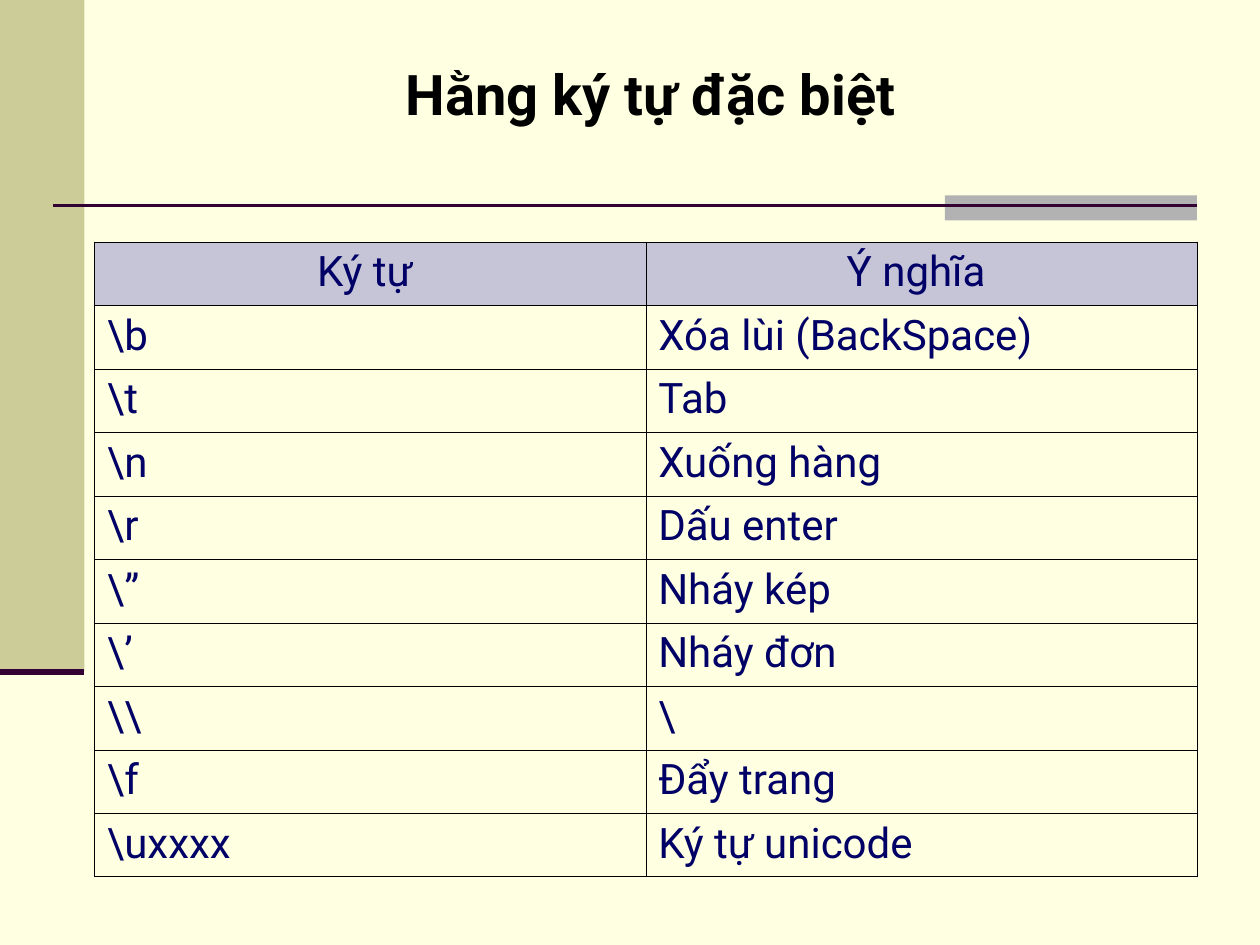
from lxml import etree
from pptx import Presentation
from pptx.dml.color import RGBColor
from pptx.enum.shapes import MSO_CONNECTOR, MSO_SHAPE
from pptx.enum.text import PP_ALIGN
from pptx.oxml.ns import qn
from pptx.util import Inches, Pt

RECT, STRAIGHT = MSO_SHAPE.RECTANGLE, MSO_CONNECTOR.STRAIGHT
LEFT, CENTER = PP_ALIGN.LEFT, PP_ALIGN.CENTER
FONT = "Roboto"
CREAM, OLIVE, GRAY, PLUM = "FFFFE1", "CCCC99", "B2B2B2", "330033"
BLACK, NAVY, LAVENDER = "000000", "000066", "C5C5D7"
OUTER, INNER = 0.51, 0.23

ROWS = [
    ("Ký tự ", "Ý nghĩa "),
    ("\\b", "Xóa lùi (BackSpace)"),
    ("\\t", "Tab"),
    ("\\n", "Xuống hàng"),
    ("\\r", "Dấu enter"),
    ("\\”", "Nháy kép"),
    ("\\’", "Nháy đơn"),
    ("\\\\", "\\"),
    ("\\f", "Đẩy trang"),
    ("\\uxxxx", "Ký tự unicode"),
]


def rgb(color):
    """Turn a hex string into a colour."""
    return RGBColor.from_string(color)


def style(p, size, color, align, bold=False):
    """Set the font and alignment of a paragraph."""
    p.alignment = align
    p.font.name, p.font.size, p.font.bold = FONT, Pt(size), bold
    p.font.color.rgb = rgb(color)


def add_block(s, x, y, w, h, color):
    """Add a plain filled rectangle."""
    sp = s.shapes.add_shape(RECT, Inches(x), Inches(y), Inches(w), Inches(h))
    sp.shadow.inherit = False
    sp.fill.solid()
    sp.fill.fore_color.rgb = rgb(color)
    sp.line.fill.background()


def add_rule(s, x, y, w, weight):
    """Add a horizontal line."""
    line = s.shapes.add_connector(
        STRAIGHT, Inches(x), Inches(y), Inches(x + w), Inches(y))
    line.line.color.rgb = rgb(PLUM)
    line.line.width = Pt(weight)
    etree.SubElement(line._element.spPr, qn("a:effectLst"))


def add_frame(s, x, y, w, h):
    """Decorate the page box with the side band and the title rule."""
    band_w, band_h, tab_w, margin = 0.67, 5.33, 2, 0.5
    right = x + w - margin
    add_block(s, x, y, band_w, band_h, OLIVE)
    add_block(s, right - tab_w, y + 1.55, tab_w, 0.2, GRAY)
    add_rule(s, x + 0.42, y + 1.63, right - x - 0.42, 1.5)
    add_rule(s, x, y + band_h, band_w, 3.5)


def add_title(s, x, y, w, h, text):
    """Add the centred slide title."""
    tf = s.shapes.add_textbox(Inches(x), Inches(y), Inches(w), Inches(h)).text_frame
    tf.word_wrap = True
    p = tf.paragraphs[0]
    p.text = text
    style(p, 32, BLACK, CENTER, True)


def set_borders(cell, weights):
    """Draw the four cell borders in left, right, top, bottom order."""
    tc_pr = cell._tc.get_or_add_tcPr()
    for i, (side, weight) in enumerate(zip("LRTB", weights)):
        ln = etree.Element(qn(f"a:ln{side}"), w=str(int(Pt(weight))))
        fill = etree.SubElement(ln, qn("a:solidFill"))
        etree.SubElement(fill, qn("a:srgbClr"), val=BLACK)
        tc_pr.insert(i, ln)


def add_grid(s, x, y, w, h, rows):
    """Add the bordered table with a tinted header row."""
    n_rows, n_cols = len(rows), len(rows[0])
    table = s.shapes.add_table(
        n_rows, n_cols, Inches(x), Inches(y), Inches(w), Inches(h)).table
    table.horz_banding = False
    for i, row in enumerate(rows):
        for j, text in enumerate(row):
            cell = table.cell(i, j)
            if i == 0:
                cell.fill.solid()
                cell.fill.fore_color.rgb = rgb(LAVENDER)
            else:
                cell.fill.background()
            edges = (j == 0, j == n_cols - 1, i == 0, i == n_rows - 1)
            set_borders(cell, [OUTER if edge else INNER for edge in edges])
            p = cell.text_frame.paragraphs[0]
            p.text = text
            p.line_spacing, p.space_before = 0.98, Pt(6)
            style(p, 24, NAVY, CENTER if i == 0 else LEFT)


def main():
    """Build and save the slide."""
    prs = Presentation()
    prs.slide_width, prs.slide_height = Inches(10), Inches(7.5)
    s = prs.slides.add_slide(prs.slide_layouts[6])
    s.background.fill.solid()
    s.background.fill.fore_color.rgb = rgb(CREAM)
    add_frame(s, 0, 0, 10, 7.5)
    add_title(s, 0.83, 0.42, 8.67, 0.64, "Hằng ký tự đặc biệt")
    add_grid(s, 0.75, 1.92, 8.75, 5.04, ROWS)
    prs.save("out.pptx")


main()
